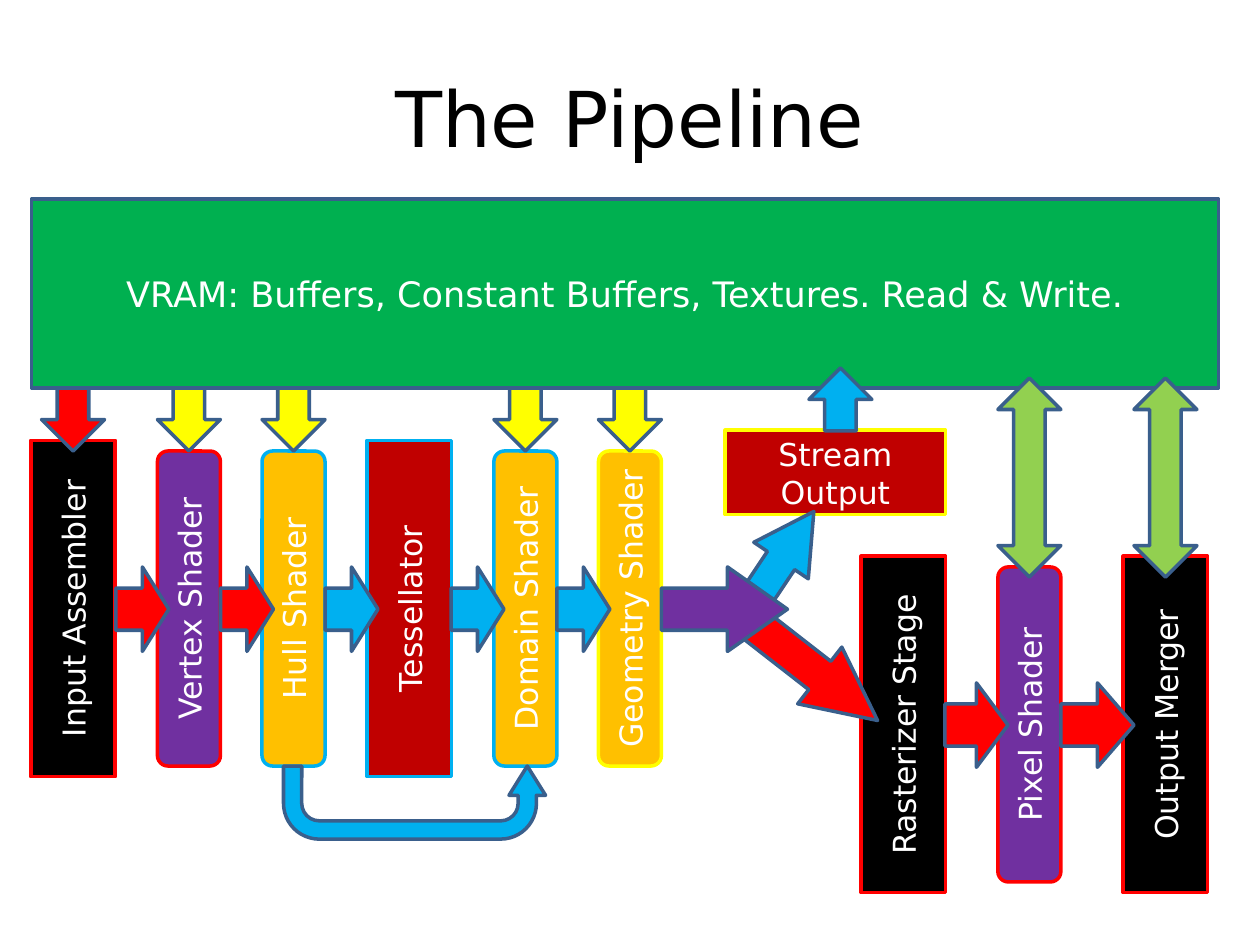
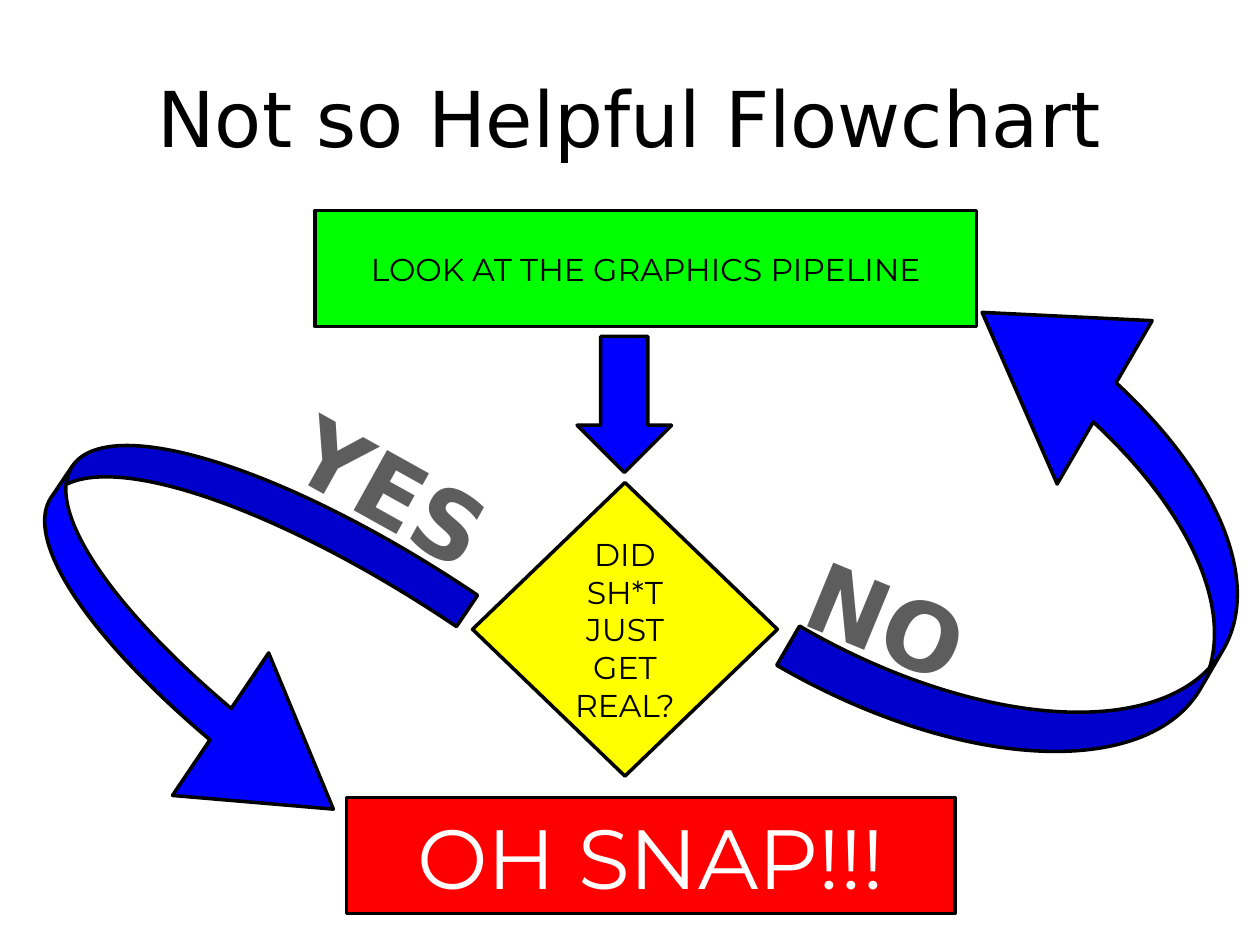
import pptx
import pptx.util
import pptx.dml.color
import pptx.enum.shapes
import pptx.enum.text

Inches = pptx.util.Inches
Pt = pptx.util.Pt
SHAPE = pptx.enum.shapes.MSO_SHAPE
ALIGN = pptx.enum.text.PP_ALIGN
ANCHOR = pptx.enum.text.MSO_ANCHOR

BLACK, WHITE, RED, YELLOW = "000000", "FFFFFF", "FF0000", "FFFF00"
GREEN, PURPLE, AMBER, SKY = "00B050", "7030A0", "FFC000", "00B0F0"
DARK_RED, LIME, STEEL, BLUE = "C00000", "92D050", "3A5F8C", "0000FF"
BRIGHT_GREEN, GREY = "00FF00", "5D5D5D"
SANS, ROUND = "DejaVu Sans", "Montserrat"


def colour(value):
    return pptx.dml.color.RGBColor.from_string(value)


class Painter:
    """Holds the deck style and the slide being drawn."""

    def __init__(self, deck):
        self.deck = deck
        self.page = None
        self.outline = STEEL
        self.font = SANS

    def start(self, title, outline, font):
        self.page = self.deck.slides.add_slide(self.deck.slide_layouts[5])
        self.outline, self.font = outline, font
        box = self.page.shapes.title
        box.left, box.top = Inches(0.5), Inches(0.3)
        box.width, box.height = Inches(9), Inches(1.25)
        self.add_text(box, title, 44, BLACK, SANS)

    def add_text(self, box, text, size, ink, font=None, bold=False):
        frame = box.text_frame
        frame.vertical_anchor = ANCHOR.MIDDLE
        para = frame.paragraphs[0]
        para.alignment = ALIGN.CENTER
        span = para.add_run()
        span.text = text
        span.font.name = font or self.font
        span.font.size = Pt(size)
        span.font.bold = bold
        span.font.color.rgb = colour(ink)

    def shape(self, kind, left, top, width, height, fill, line=None,
              turn=0, flip=None, adjust=()):
        box = self.page.shapes.add_shape(
            kind, Inches(left), Inches(top), Inches(width), Inches(height))
        box.shadow.inherit = False
        box.fill.solid()
        box.fill.fore_color.rgb = colour(fill)
        box.line.color.rgb = colour(line or self.outline)
        box.line.width = Pt(2)
        box.rotation = turn
        for index, value in enumerate(adjust):
            box.adjustments[index] = value
        if flip:
            box.element.spPr.xfrm.set(flip, "1")
        return box

    def panel(self, kind, place, fill, text, size, ink):
        box = self.shape(kind, *place, fill)
        box.text_frame.word_wrap = True
        self.add_text(box, text, size, ink)

    def stage(self, text, centre, middle, fill, line, rounded=False, length=None, turn=0):
        """A pipeline stage with text that reads upwards."""
        kind = SHAPE.ROUNDED_RECTANGLE if rounded else SHAPE.RECTANGLE
        width = 0.5 if rounded else 0.67
        length = length or width + 2
        box = self.shape(kind, centre - width / 2, middle - length / 2,
                         width, length, fill, line, turn)
        box.text_frame.word_wrap = True
        box.text_frame._txBody.bodyPr.set("vert", "vert270")
        self.add_text(box, text, 18, WHITE)

    def flow(self, left, middle, length, fill, adjust=()):
        self.shape(SHAPE.RIGHT_ARROW, left, middle - 0.33, length, 0.67, fill,
                   adjust=adjust)

    def label(self, text, left, top, width, height, turn):
        box = self.page.shapes.add_textbox(
            Inches(left), Inches(top), Inches(width), Inches(height))
        box.rotation = turn
        box.text_frame.word_wrap = False
        box.text_frame.auto_size = pptx.enum.text.MSO_AUTO_SIZE.SHAPE_TO_FIT_TEXT
        self.add_text(box, text, 54, GREY, SANS, bold=True)


deck = pptx.Presentation()
deck.slide_width, deck.slide_height = Inches(10), Inches(7.5)
painter = Painter(deck)

# Slide 1: the pipeline
painter.start("The Pipeline", STEEL, SANS)
painter.panel(SHAPE.RECTANGLE, (0.25, 1.58, 9.42, 1.5), GREEN,
              "VRAM: Buffers, Constant Buffers, Textures. Read & Write.", 20, WHITE)

# Stages: text, centre, middle, fill, line, rounded
UPPER, LOWER = 4.83, 5.75
stages = [
    ("Input Assembler", 0.58, UPPER, BLACK, RED, False),
    ("Vertex Shader", 1.5, UPPER, PURPLE, RED, True),
    ("Hull Shader", 2.33, UPPER, AMBER, SKY, True),
    ("Tessellator", 3.25, UPPER, DARK_RED, SKY, False),
    ("Domain Shader", 4.17, UPPER, AMBER, SKY, True),
    ("Geometry Shader", 5, UPPER, AMBER, YELLOW, True),
    ("Rasterizer Stage", 7.17, LOWER, BLACK, RED, False),
    ("Pixel Shader", 8.17, LOWER, PURPLE, RED, True),
    ("Output Merger", 9.25, LOWER, BLACK, RED, False),
]
for stage in stages:
    painter.stage(*stage)
painter.stage("Stream Output", 6.63, 3.75, DARK_RED, YELLOW, length=1.75, turn=90)

# Reads from memory
for centre, fill in [(0.58, RED), (1.5, YELLOW), (2.33, YELLOW),
                     (4.17, YELLOW), (5, YELLOW)]:
    painter.shape(SHAPE.DOWN_ARROW, centre - 0.25, 3.08, 0.5, 0.5, fill)

# Flow between neighbouring stages
for left, fill in [(0.92, RED), (1.75, RED), (2.58, SKY), (3.58, SKY), (4.42, SKY)]:
    painter.flow(left, UPPER, 0.42, fill)
painter.flow(7.5, LOWER, 0.5, RED)
painter.flow(8.42, LOWER, 0.58, RED)

# Bypass of the tessellator, and the fork after the geometry shader
painter.shape(SHAPE.U_TURN_ARROW, 2.25, 6.08, 2.08, 0.58, SKY, flip="flipV",
              adjust=(0.25, 0.25, 0.4, 0.49, 1))
painter.shape(SHAPE.RIGHT_ARROW, 5.86, 4.12, 0.77, 0.52, SKY, turn=303.8,
              adjust=(0.5, 0.9))
painter.shape(SHAPE.RIGHT_ARROW, 5.82, 5.04, 1.28, 0.57, RED, turn=37.9,
              adjust=(0.5, 1.02))
painter.flow(5.25, UPPER, 1, PURPLE, adjust=(0.5, 0.71))

# Writes to memory
painter.shape(SHAPE.DOWN_ARROW, 6.42, 2.92, 0.5, 0.5, SKY, turn=180)
for left in (7.92, 9):
    painter.shape(SHAPE.UP_DOWN_ARROW, left, 3, 0.5, 1.58, LIME)

# Slide 2: the flowchart
painter.start("Not so Helpful Flowchart", BLACK, ROUND)
painter.panel(SHAPE.FLOWCHART_PROCESS, (2.5, 1.67, 5.25, 0.92), BRIGHT_GREEN,
              "LOOK AT THE GRAPHICS PIPELINE", 18, BLACK)
painter.panel(SHAPE.FLOWCHART_DECISION, (3.75, 3.83, 2.42, 2.33), YELLOW,
              "DID SH*T JUST GET REAL?", 18, BLACK)
painter.panel(SHAPE.FLOWCHART_PROCESS, (2.75, 6.33, 4.83, 0.92), RED,
              "OH SNAP!!!", 48, WHITE)

# Arrows and their answers
painter.shape(SHAPE.DOWN_ARROW, 4.58, 2.67, 0.75, 1.08, BLUE)
painter.shape(SHAPE.CURVED_DOWN_ARROW, 0.32, 3.33, 2.73, 3.24, BLUE, turn=304,
              flip="flipH", adjust=(0.11, 0.5, 0.41))
painter.shape(SHAPE.CURVED_UP_ARROW, 6.47, 2.81, 3.99, 3, BLUE, turn=300.2,
              adjust=(0.12, 0.5, 0.4))
painter.label("YES", 2.21, 3.38, 1.81, 1.01, 29.2)
painter.label("NO", 6.3, 4.41, 1.49, 1.01, 22.4)

deck.save("out.pptx")
